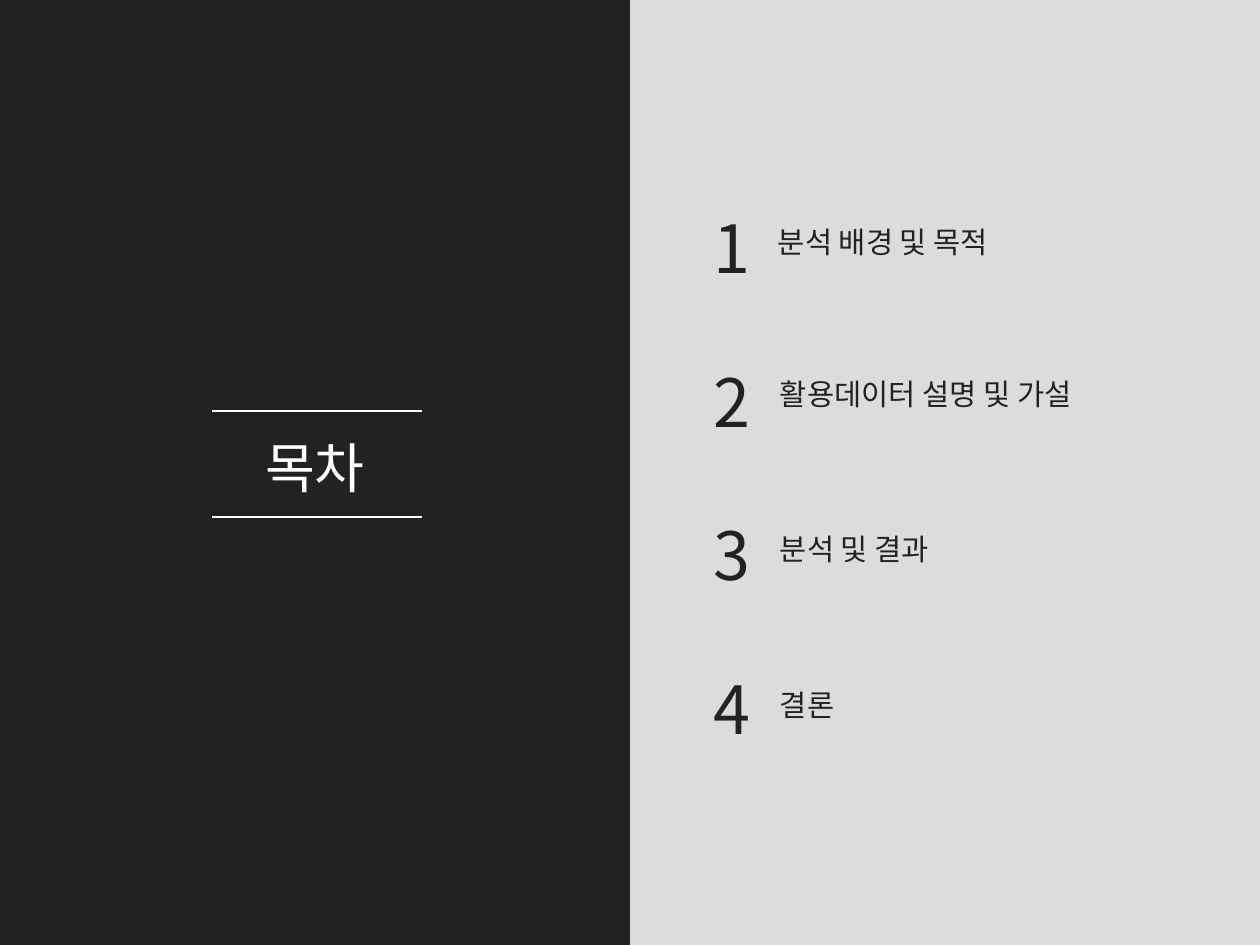
from lxml import etree
from pptx import Presentation
from pptx.dml.color import RGBColor
from pptx.enum.shapes import MSO_CONNECTOR, MSO_SHAPE
from pptx.enum.text import MSO_ANCHOR, MSO_AUTO_SIZE, PP_ALIGN
from pptx.oxml.ns import qn
from pptx.util import Emu, Pt

RECTANGLE = MSO_SHAPE.RECTANGLE
STRAIGHT = MSO_CONNECTOR.STRAIGHT
MIDDLE = MSO_ANCHOR.MIDDLE
NO_AUTOFIT = MSO_AUTO_SIZE.NONE
LEFT, CENTER = PP_ALIGN.LEFT, PP_ALIGN.CENTER

SCALE = 10320  # EMU per px
WIDTH, HEIGHT = 1260, 945
HALF = WIDTH // 2
TITLE = "목차"
CHAPTERS = [
    ("분석 배경 및 목적", 773, 204),
    ("활용데이터 설명 및 가설", 775, 356),
    ("분석 및 결과", 775, 511),
    ("결론", 775, 667),
]


def px(length):
    return Emu(length * SCALE)


def color(value):
    return RGBColor.from_string(value)


class ContentsSlide:
    font = "Noto Sans CJK KR"
    dark, pale, white = "222222", "DBDDDD", "FFFFFF"
    inset = 5

    def __init__(self, deck):
        self.slide = deck.slides.add_slide(deck.slide_layouts[1])
        self.shapes = self.slide.shapes

    def place(self, shape, left, top, width, height):
        shape.left, shape.top = px(left), px(top)
        shape.width, shape.height = px(width), px(height)

    def set_text(self, shape, lines, size, ink, align=LEFT):
        frame = shape.text_frame
        frame.text = "\n".join(lines)
        frame.word_wrap = True
        frame.auto_size = NO_AUTOFIT
        frame.vertical_anchor = MIDDLE
        frame.margin_left = frame.margin_right = px(self.inset)
        frame.margin_top = frame.margin_bottom = px(self.inset)
        for para in frame.paragraphs:
            para.alignment = align
            para.space_before = Pt(0)
            for span in para.runs:
                span.font.name = self.font
                span.font.size = Pt(size)
                span.font.color.rgb = color(ink)
                east_asian = etree.SubElement(span.font._element, qn("a:ea"))
                east_asian.set("typeface", self.font)
        return frame

    def panel(self, left, top, width, height):
        """Add a pale rectangle behind everything else."""
        panel = self.shapes.add_shape(
            RECTANGLE, px(left), px(top), px(width), px(height))
        panel.shadow.inherit = False
        panel.fill.solid()
        panel.fill.fore_color.rgb = color(self.pale)
        panel.line.fill.background()
        self.shapes._spTree.insert(2, panel._element)

    def title(self, text, left, top, width, height):
        title = self.shapes.title
        self.place(title, left, top, width, height)
        title.fill.solid()
        title.fill.fore_color.rgb = color(self.dark)
        frame = self.set_text(title, [text], 44, self.white, CENTER)
        frame.paragraphs[0].line_spacing = 0.8

    def rule(self, left, right, y):
        """Add a thin white horizontal line."""
        rule = self.shapes.add_connector(
            STRAIGHT, px(left), px(y), px(right), px(y))
        rule.line.color.rgb = color(self.white)
        rule.line.width = Pt(1.5)
        etree.SubElement(rule._element.spPr, qn("a:effectLst"))

    def numbers(self, count, left, top, width, height):
        """Fill the body placeholder with evenly spaced chapter numbers."""
        body = self.slide.placeholders[1]
        self.place(body, left, top, width, height)
        lines = [str(number) for number in range(1, count + 1)]
        frame = self.set_text(body, lines, 54, self.dark)
        frame.word_wrap = False
        for para in frame.paragraphs:
            para.line_spacing = Pt(78)
            para.space_after = Pt(46.8)
            properties = para._p.get_or_add_pPr()
            properties.set("marL", "0")
            properties.set("indent", "0")
            etree.SubElement(properties, qn("a:buNone"))
        frame.paragraphs[-1].space_after = Pt(0)

    def label(self, text, left, top, width, height):
        box = self.shapes.add_textbox(
            px(left), px(top), px(width), px(height))
        self.set_text(box, [text], 24, self.dark)


def main():
    deck = Presentation()
    deck.slide_width, deck.slide_height = px(WIDTH), px(HEIGHT)
    page = ContentsSlide(deck)
    page.panel(HALF, 0, HALF, HEIGHT)
    page.title(TITLE, 0, 0, HALF, HEIGHT)
    for y in (411, 517):
        page.rule(212, 422, y)
    page.numbers(len(CHAPTERS), 709, 186, 51, 567)
    for text, left, top in CHAPTERS:
        page.label(text, left, top, 411, 75)
    deck.save("out.pptx")


if __name__ == "__main__":
    main()
